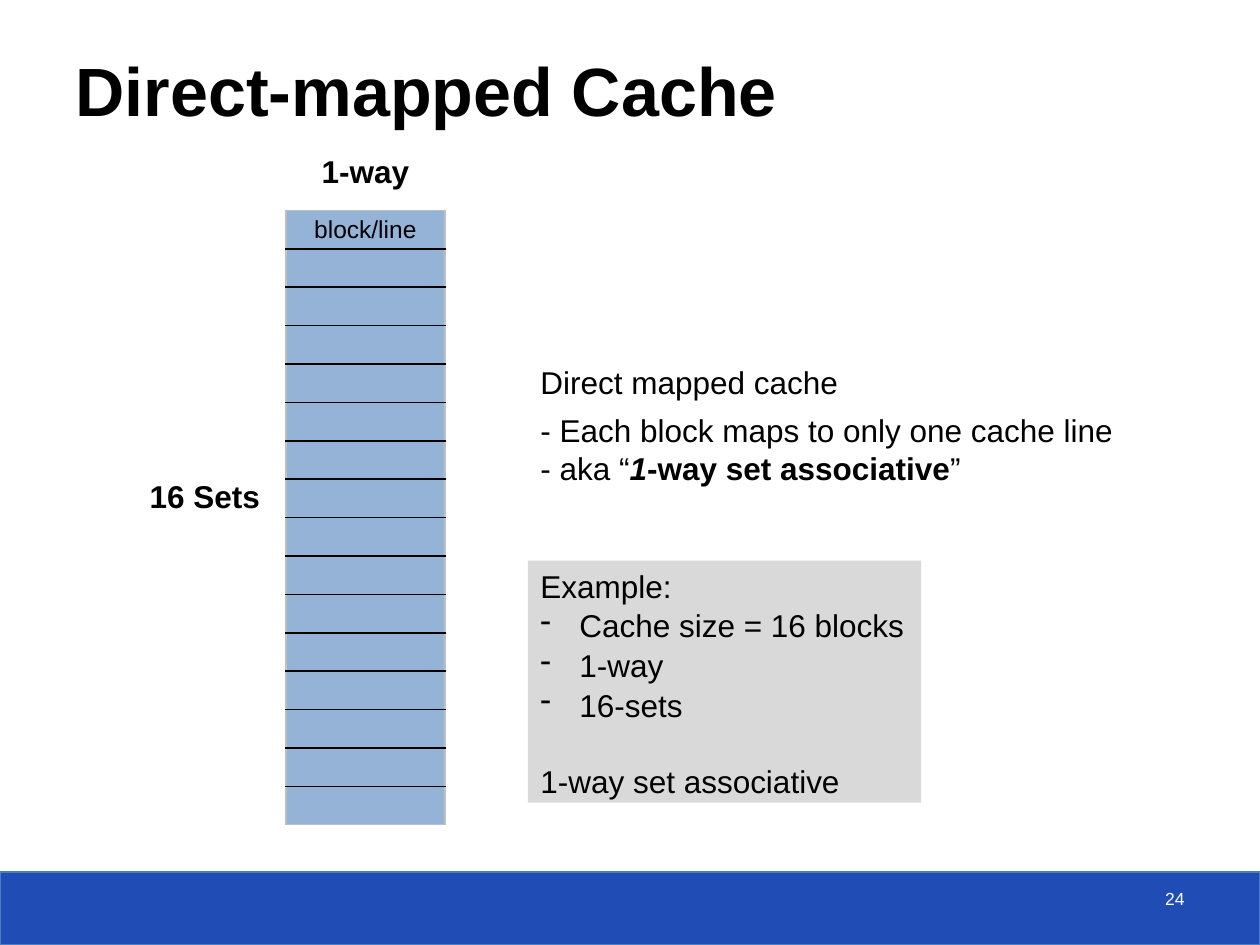
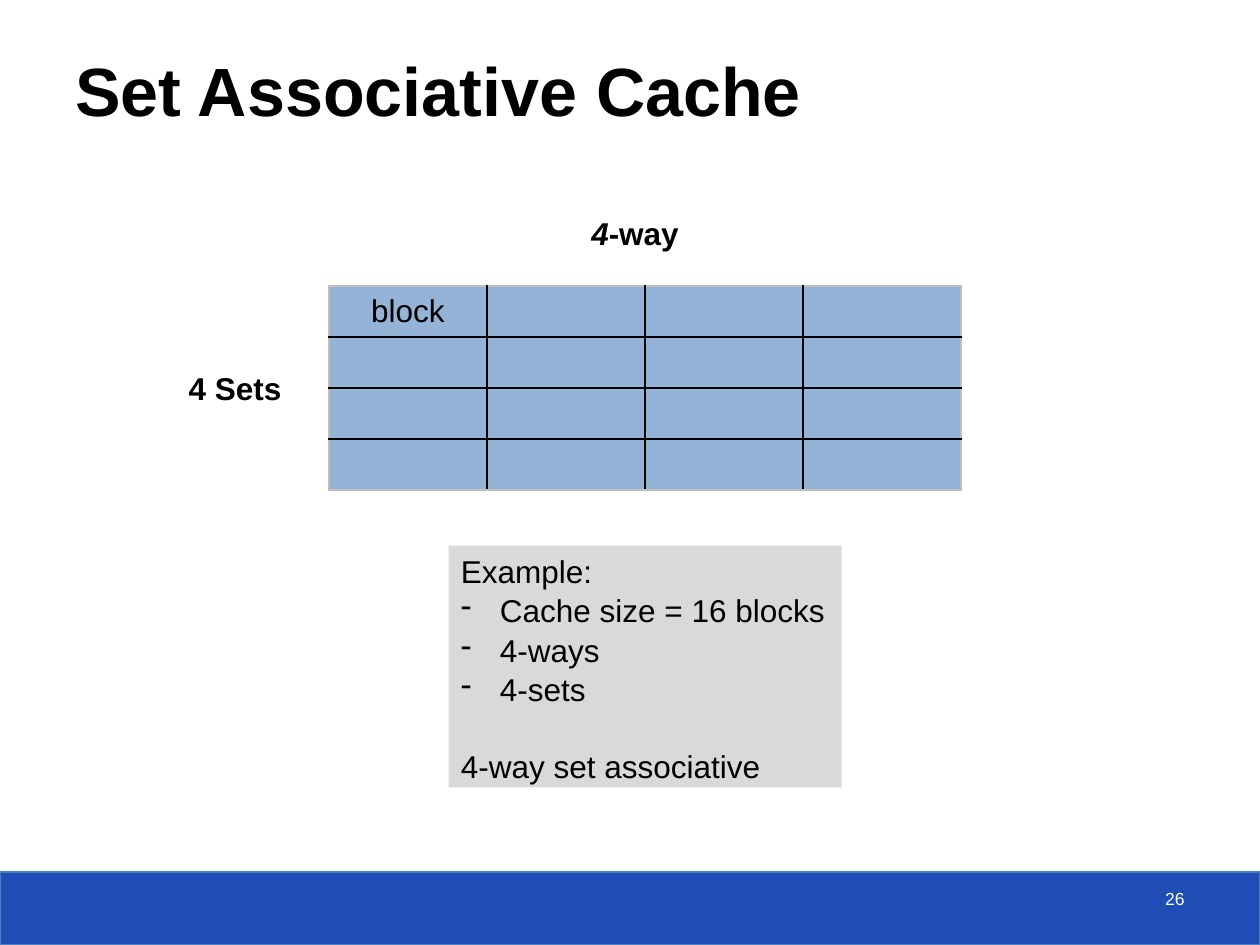
import dataclasses

import lxml.etree
import pptx
import pptx.dml.color
import pptx.enum.shapes
import pptx.enum.text
import pptx.oxml.ns
import pptx.util

Inches = pptx.util.Inches
Pt = pptx.util.Pt
ALIGN = pptx.enum.text.PP_ALIGN
ANCHOR = pptx.enum.text.MSO_ANCHOR
qn = pptx.oxml.ns.qn


@dataclasses.dataclass(frozen=True)
class Theme:
    """Colours, font and type sizes shared by the slides."""
    font: str = "Arial"
    ink: str = "000000"
    paper: str = "FFFFFF"
    band: str = "204DB5"
    band_line: str = "4B7EBC"
    block: str = "95B3D7"
    block_edge: str = "BFBFBF"
    panel: str = "D9D9D9"
    title: int = 39
    body: int = 18
    small: int = 14
    number: int = 10


THEME = Theme()


def rgb(value):
    """Turn a hex string into a colour."""
    return pptx.dml.color.RGBColor.from_string(value)


def add_text(tf, *runs, size=THEME.body, color=THEME.ink, bold=False,
             align=ALIGN.LEFT, before=0, after=0, bullet=None):
    """Add a paragraph whose runs are strings or (string, font options) pairs."""
    p = tf.paragraphs[0] if not tf.text else tf.add_paragraph()
    p.alignment = align
    p.space_before, p.space_after = Pt(before), Pt(after)
    if bullet:
        pPr = p._p.get_or_add_pPr()
        pPr.set("marL", str(Inches(0.31)))
        pPr.set("indent", str(-Inches(0.31)))
        lxml.etree.SubElement(pPr, qn("a:buChar")).set("char", bullet)
    for run in runs:
        text, options = (run, {}) if isinstance(run, str) else run
        r = p.add_run()
        r.text = text
        r.font.name, r.font.size = THEME.font, Pt(size)
        r.font.color.rgb = rgb(color)
        r.font.bold = options.get("bold", bold)
        r.font.italic = options.get("italic", False)
    return p


def add_box(s, box, wrap=True, anchor=ANCHOR.TOP):
    """Add a text box and return its text frame."""
    tf = s.shapes.add_textbox(*map(Inches, box)).text_frame
    tf.word_wrap, tf.vertical_anchor = wrap, anchor
    return tf


def add_rect(s, box, fill, line=None):
    """Add a flat rectangle."""
    sp = s.shapes.add_shape(pptx.enum.shapes.MSO_SHAPE.RECTANGLE, *map(Inches, box))
    sp.shadow.inherit = False
    sp.fill.solid()
    sp.fill.fore_color.rgb = rgb(fill)
    if line:
        sp.line.color.rgb = rgb(line)
        sp.line.width = Pt(0.75)
    else:
        sp.line.fill.background()
    return sp


def add_frame(prs, title, number):
    """Start a slide with its title, bottom band and page number."""
    s = prs.slides.add_slide(prs.slide_layouts[6])
    add_rect(s, (0, 6.92, 10, 0.58), THEME.band, THEME.band_line)
    add_text(add_box(s, (0.5, 0.25, 9.29, 0.83), anchor=ANCHOR.BOTTOM), title,
             size=THEME.title, bold=True)
    add_text(add_box(s, (7.17, 7, 2.33, 0.33)), str(number),
             size=THEME.number, color=THEME.paper, align=ALIGN.RIGHT)
    return s


def set_borders(cell, colors):
    """Draw the left, right, top and bottom borders of a cell."""
    tcPr = cell._tc.get_or_add_tcPr()
    for i, (side, color) in enumerate(zip("LRTB", colors)):
        ln = lxml.etree.Element(qn(f"a:ln{side}"), w=str(Pt(1)))
        fill = lxml.etree.SubElement(ln, qn("a:solidFill"))
        lxml.etree.SubElement(fill, qn("a:srgbClr")).set("val", color)
        tcPr.insert(i, ln)


def add_cache(s, box, sets, ways, label, size=THEME.body):
    """Draw a cache as a table with one row per set and one column per way."""
    left, top, width, height = map(Inches, box)
    table = s.shapes.add_table(sets, ways, left, top, width, height).table
    table.first_row = table.horz_banding = False
    for row in table.rows:
        row.height = height // sets
    for column in table.columns:
        column.width = width // ways
    for i in range(sets):
        for j in range(ways):
            cell = table.cell(i, j)
            cell.margin_top = cell.margin_bottom = 0
            cell.vertical_anchor = ANCHOR.MIDDLE
            cell.fill.solid()
            cell.fill.fore_color.rgb = rgb(THEME.block)
            outer = (j == 0, j == ways - 1, i == 0, i == sets - 1)
            set_borders(cell, [THEME.block_edge if o else THEME.ink for o in outer])
    add_text(table.cell(0, 0).text_frame, label, size=size, align=ALIGN.CENTER)


def add_label(s, box, *runs):
    """Add a bold label beside a cache."""
    add_text(add_box(s, box, wrap=False), *runs, bold=True, align=ALIGN.CENTER)


def add_example(s, left, top, ways, sets, summary):
    """Add the grey panel that sums up the example."""
    tf = add_rect(s, (left, top, 3.12, 1.92), THEME.panel).text_frame
    tf.word_wrap, tf.vertical_anchor = True, ANCHOR.TOP
    add_text(tf, "Example:")
    for item in ("Cache size = 16 blocks", ways, sets):
        add_text(tf, item, bullet="-", before=1)
    add_text(tf, summary, before=22)


def add_definition(s, box):
    """Add the definition of a direct mapped cache."""
    tf = add_box(s, box)
    add_text(tf, "Direct mapped cache", after=6)
    add_text(tf, "- Each block maps to only one cache line")
    add_text(tf, "- aka “", ("1", {"bold": True, "italic": True}),
             ("-way set associative", {"bold": True}), "”")


def build_direct_mapped(prs):
    """Build the direct-mapped cache slide."""
    s = add_frame(prs, "Direct-mapped Cache", 24)
    add_cache(s, (2.27, 1.67, 1.26, 4.88), 16, 1, "block/line", THEME.small)
    add_label(s, (1.08, 3.74, 1.09, 0.4), "16 Sets")
    add_label(s, (2.45, 1.16, 0.9, 0.4), "1-way")
    add_definition(s, (4.19, 2.83, 4.79, 1.4))
    add_example(s, 4.19, 4.45, "1-way", "16-sets", "1-way set associative")


def build_set_associative(prs):
    """Build the set associative cache slide."""
    s = add_frame(prs, "Set Associative Cache", 26)
    add_cache(s, (2.61, 2.27, 5.02, 1.62), 4, 4, "block")
    add_label(s, (1.39, 2.88, 0.95, 0.4), "4 Sets")
    add_label(s, (4.59, 1.65, 0.9, 0.4), ("4", {"italic": True}), "-way")
    add_example(s, 3.56, 4.33, "4-ways", "4-sets", "4-way set associative")


def main():
    """Build and save the presentation."""
    prs = pptx.Presentation()
    prs.slide_width, prs.slide_height = Inches(10), Inches(7.5)
    build_direct_mapped(prs)
    build_set_associative(prs)
    prs.save("out.pptx")


if __name__ == "__main__":
    main()
